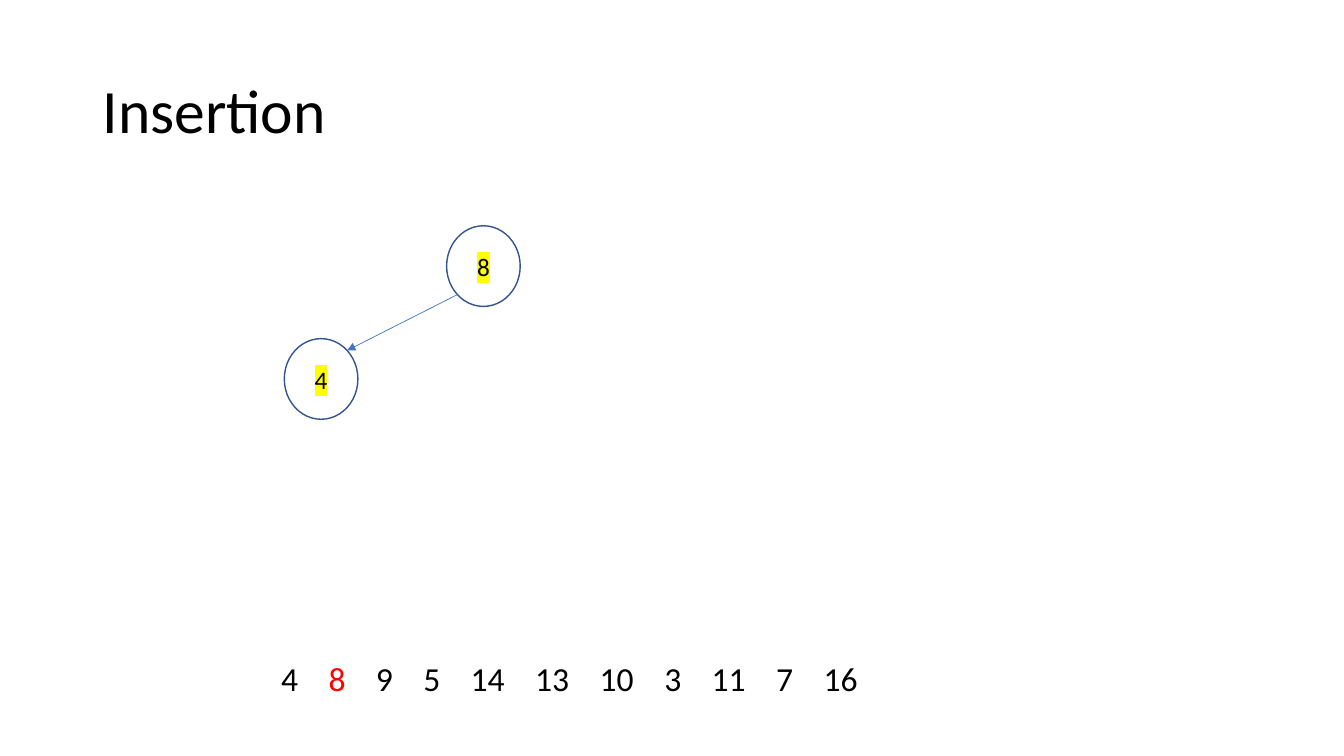
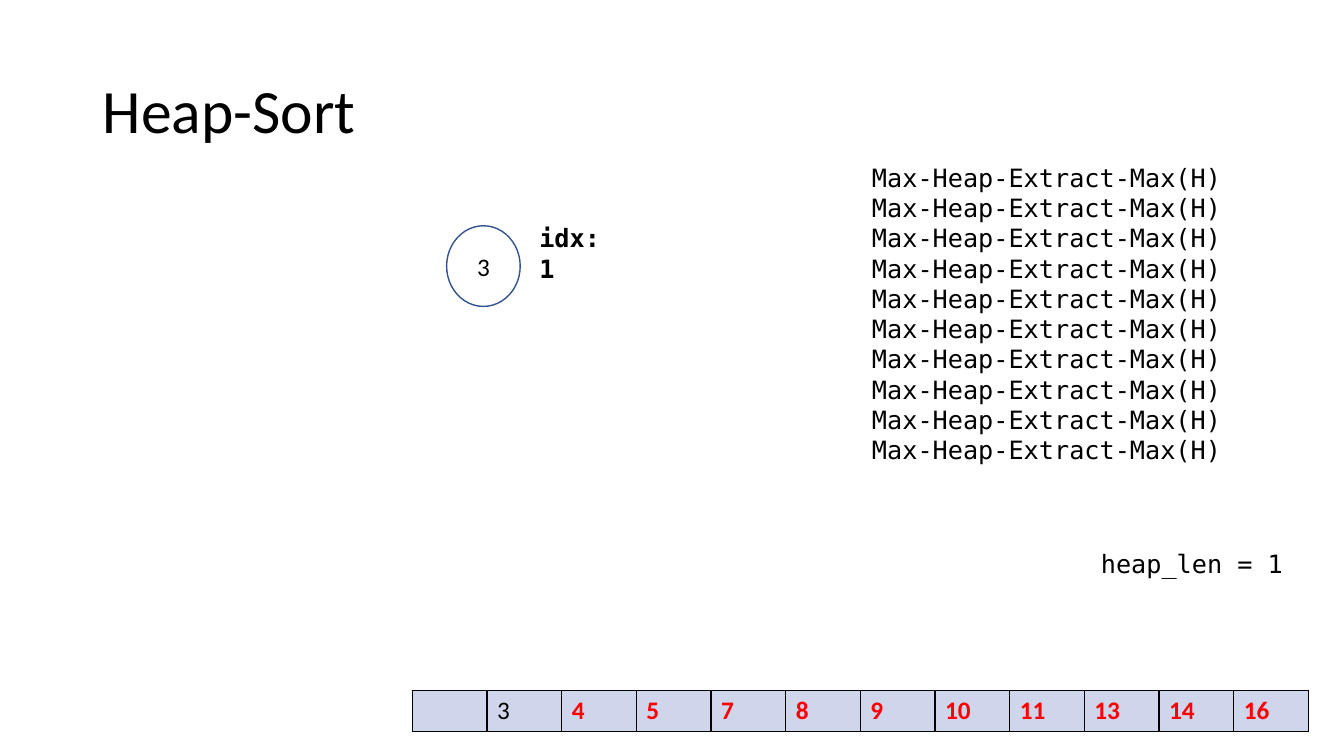
import math

from lxml import etree
from pptx import Presentation
from pptx import util as u
from pptx.dml.color import RGBColor
from pptx.enum import shapes, text
from pptx.oxml import ns

# Shared look
BLACK = RGBColor(0x00, 0x00, 0x00)
RED = RGBColor(0xFF, 0x00, 0x00)
NODE_LINE = RGBColor(0x32, 0x54, 0x91)
EDGE_LINE = RGBColor(0x44, 0x72, 0xC4)
CELL_FILL = RGBColor(0xCF, 0xD5, 0xEA)
HIGHLIGHT = RGBColor(0xFF, 0xFF, 0x00)
BODY_FONT = "Calibri"
CODE_FONT = "DejaVu Sans Mono"

# Tree geometry in inches
NODE_WIDTH, NODE_HEIGHT = 0.73, 0.8
ROOT = (4.43, 2.24)
LEFT_CHILD = (2.82, 3.36)

# Widths of the 24 pt number row in inches
DIGIT_WIDTH, NUMBER_GAP = 0.17, 0.3


def add_xml(parent, tag, **attributes):
    return etree.SubElement(parent, ns.qn(tag), attributes)


def set_font(font, size, name=BODY_FONT, color=BLACK, bold=False):
    font.size = u.Pt(size)
    font.name = name
    font.bold = bold
    font.color.rgb = color


def add_text(slide, box, lines, size=18, name=BODY_FONT, bold=False):
    shape = slide.shapes.add_textbox(*map(u.Inches, box))
    frame = shape.text_frame
    frame.word_wrap = True
    frame.text = "\n".join(lines)
    for paragraph in frame.paragraphs:
        set_font(paragraph.font, size, name, bold=bold)
    return frame


def add_titled_slide(presentation, title):
    slide = presentation.slides.add_slide(presentation.slide_layouts[6])
    frame = add_text(slide, (0.92, 0.4, 11.5, 1.45), [title], size=44)
    frame.vertical_anchor = text.MSO_ANCHOR.MIDDLE
    frame.paragraphs[0].line_spacing = 0.9
    return slide


def add_node(slide, position, value, highlighted=False):
    left, top = position
    node = slide.shapes.add_shape(
        shapes.MSO_SHAPE.OVAL, u.Inches(left), u.Inches(top),
        u.Inches(NODE_WIDTH), u.Inches(NODE_HEIGHT))
    node.shadow.inherit = False
    node.fill.background()
    node.line.color.rgb = NODE_LINE
    node.line.width = u.Pt(1)
    node.text_frame.vertical_anchor = text.MSO_ANCHOR.MIDDLE
    paragraph = node.text_frame.paragraphs[0]
    paragraph.alignment = text.PP_ALIGN.CENTER
    set_font(paragraph.font, 18)
    run = paragraph.add_run()
    run.text = str(value)
    if highlighted:
        highlight = add_xml(run.font._element, "a:highlight")
        add_xml(highlight, "a:srgbClr", val=str(HIGHLIGHT))


def node_point(position, degrees):
    """Point on the outline of a node, clockwise from its right side."""
    angle = math.radians(degrees)
    left, top = position
    return (u.Inches(left + NODE_WIDTH / 2 * (1 + math.cos(angle))),
            u.Inches(top + NODE_HEIGHT / 2 * (1 + math.sin(angle))))


def add_left_edge(slide, parent, child):
    edge = slide.shapes.add_connector(
        shapes.MSO_CONNECTOR.STRAIGHT,
        *node_point(parent, 135), *node_point(child, -45))
    edge.line.color.rgb = EDGE_LINE
    edge.line.width = u.Pt(0.5)
    add_xml(edge.line._get_or_add_ln(), "a:tailEnd", type="triangle")
    add_xml(edge._element.spPr, "a:effectLst")


def add_number_row(slide, box, numbers, current):
    paragraph = add_text(slide, box, [""], size=24).paragraphs[0]
    # Each tab stop follows the width of the numbers before it
    properties = paragraph._p.get_or_add_pPr()
    tabs = etree.Element(ns.qn("a:tabLst"))
    properties.insert(0, tabs)
    position = 0
    for index, number in enumerate(numbers):
        if index:
            add_xml(tabs, "a:tab", pos=str(u.Inches(position)), algn="l")
        run = paragraph.add_run()
        run.text = f"\t{number}" if index else str(number)
        if number == current:
            run.font.color.rgb = RED
        position += len(str(number)) * DIGIT_WIDTH + NUMBER_GAP


def style_cell(cell):
    properties = cell._tc.get_or_add_tcPr()
    for side in ("a:lnL", "a:lnR", "a:lnT", "a:lnB"):
        border = add_xml(properties, side, w=str(u.Pt(1)))
        fill = add_xml(border, "a:solidFill")
        add_xml(fill, "a:srgbClr", val=str(BLACK))
    cell.fill.solid()
    cell.fill.fore_color.rgb = CELL_FILL


def add_heap_array(slide, box, values, heap_length):
    frame = slide.shapes.add_table(1, len(values), *map(u.Inches, box))
    table = frame.table
    table.first_row = table.horz_banding = False
    for index, value in enumerate(values):
        cell = table.cell(0, index)
        style_cell(cell)
        cell.text = str(value)
        is_sorted = index > heap_length
        set_font(cell.text_frame.paragraphs[0].font, 18,
                 color=RED if is_sorted else BLACK, bold=is_sorted)


def build_insertion(presentation):
    slide = add_titled_slide(presentation, "Insertion")
    add_node(slide, ROOT, 8, highlighted=True)
    add_node(slide, LEFT_CHILD, 4, highlighted=True)
    add_left_edge(slide, ROOT, LEFT_CHILD)
    add_number_row(slide, (2.69, 6.48, 7.37, 0.5),
                   [4, 8, 9, 5, 14, 13, 10, 3, 11, 7, 16], current=8)


def build_heap_sort(presentation):
    slide = add_titled_slide(presentation, "Heap-Sort")
    add_node(slide, ROOT, 3)
    add_text(slide, (5.25, 2.16, 0.91, 0.4), ["idx:1"],
             name=CODE_FONT, bold=True)
    add_heap_array(slide, (4.09, 6.85, 8.89, 0.41),
                   ["", 3, 4, 5, 7, 8, 9, 10, 11, 13, 14, 16], heap_length=1)
    add_text(slide, (10.82, 5.39, 2.17, 0.4), ["heap_len = 1"],
             name=CODE_FONT)
    add_text(slide, (8.55, 1.56, 3.75, 5.55),
             ["Max-Heap-Extract-Max(H)"] * 10, name=CODE_FONT)


def main():
    presentation = Presentation()
    presentation.slide_width = u.Inches(13.33)
    presentation.slide_height = u.Inches(7.5)
    build_insertion(presentation)
    build_heap_sort(presentation)
    presentation.save("out.pptx")


if __name__ == "__main__":
    main()
